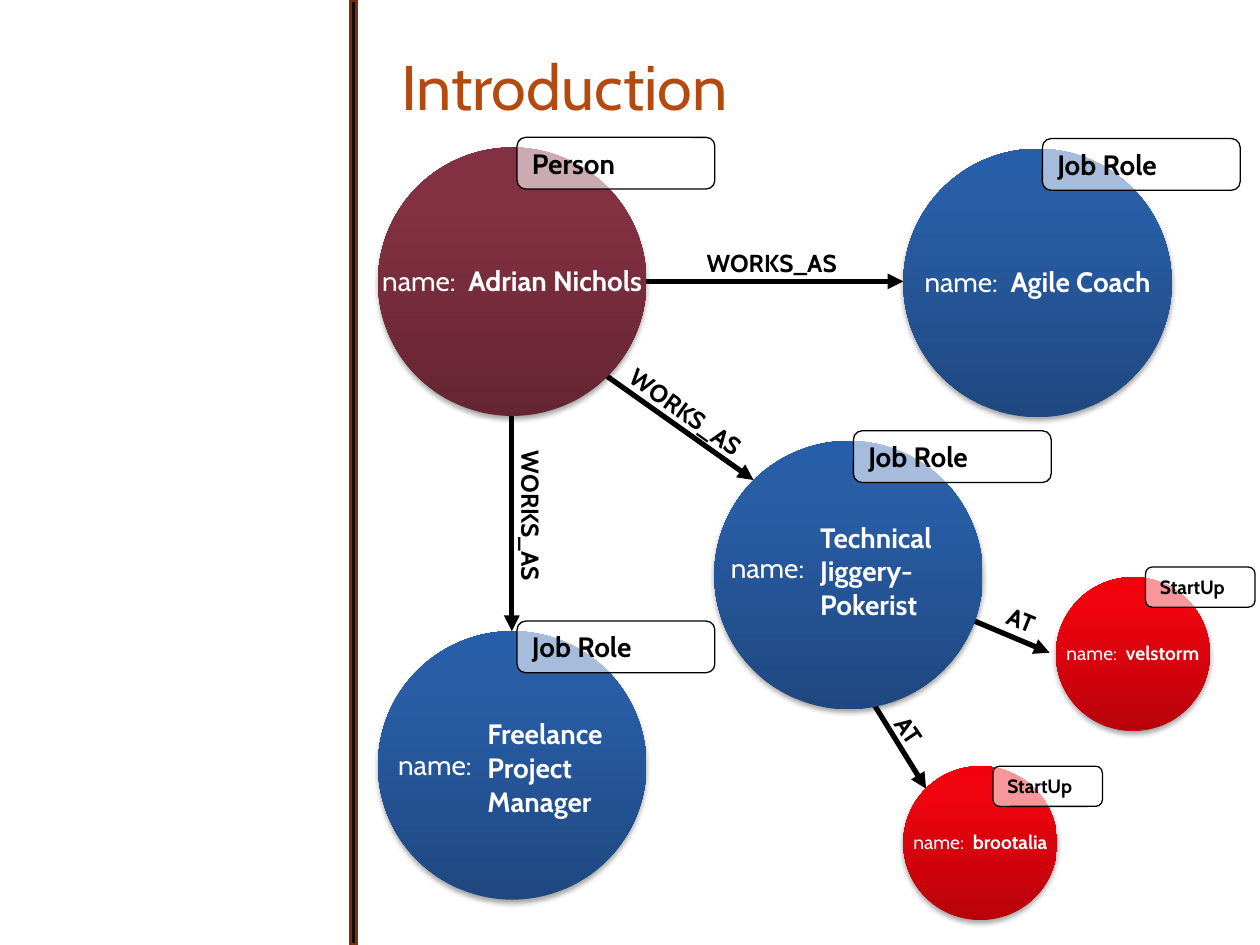
from pptx import Presentation
from pptx.dml.color import RGBColor
from pptx.enum.shapes import MSO_CONNECTOR, MSO_SHAPE
from pptx.enum.text import MSO_ANCHOR, MSO_AUTO_SIZE, PP_ALIGN
from pptx.oxml import parse_xml
from pptx.oxml.ns import nsdecls
from pptx.util import Pt

STRAIGHT = MSO_CONNECTOR.STRAIGHT
RECTANGLE = MSO_SHAPE.RECTANGLE
ELLIPSE = MSO_SHAPE.OVAL
ROUNDED = MSO_SHAPE.ROUNDED_RECTANGLE
TOP, MIDDLE = MSO_ANCHOR.TOP, MSO_ANCHOR.MIDDLE
NO_FIT, GROW = MSO_AUTO_SIZE.NONE, MSO_AUTO_SIZE.SHAPE_TO_FIT_TEXT
LEFT, CENTER = PP_ALIGN.LEFT, PP_ALIGN.CENTER

FONT = "Cabin"
COLORS = {"title": "B54A10", "bar": "0D0D0D", "bar_edge": "78310B",
          "black": "000000", "white": "FFFFFF"}
GRADIENTS = {  # from bottom to top
    "person": {0: "652533", 80: "833142", 100: "852F42"},
    "role": {0: "1F4880", 80: "295EA7", 100: "265EAA"},
    "startup": {0: "B8020B", 80: "EE030E", 100: "F2000C"},
}
LARGE = {"diameter": 153.4, "size": 16, "tag": (113, 29.5), "tag_left": 79.5,
         "name": (153.4, 26.4), "inset": 0}
SMALL = {"diameter": 88, "size": 11, "tag": (62.6, 23), "tag_left": 51.2,
         "name": (105, 20.9), "inset": 7.2}

# kind, left, top, scale, tag text, tag offset from the top
NODES = [
    ("person", 216, 84.3, LARGE, "Person", -5.8),
    ("role", 516.2, 85, LARGE, "Job Role", -5.8),
    ("role", 408.2, 252, LARGE, "Job Role", -5.8),
    ("role", 216, 360.7, LARGE, "Job Role", -5.8),
    ("startup", 603.4, 329.8, SMALL, "StartUp", -5.8),
    ("startup", 516.2, 437.8, SMALL, "StartUp", 0),
]
# node index, name
SINGLE_NAMES = [(0, "Adrian Nichols"), (1, "Agile Coach"),
                (4, "velstorm"), (5, "brootalia")]
# left, top, lines of the name
STACKED_NAMES = [
    (417.6, 311, ["Technical", "Jiggery-", "Pokerist"]),
    (227.5, 423.4, ["Freelance", "Project", "Manager"]),
]
# start, end, label, label left and top, label rotation
RELATIONS = [
    ((369.4, 160.8), (516.2, 160.8), "WORKS_AS", (396, 138.2), 0),
    ((346.3, 214.6), (430.6, 274.3), "WORKS_AS", (347, 223.2), 35.5),
    ((292.5, 237), (292.5, 360.7), "WORKS_AS", (258.5, 283), 90),
    ((540, 347.8), (599.8, 373), "AT", (538.6, 342), 22.3),
    ((491.8, 390.2), (529.2, 450.7), "AT", (474.5, 405.4), 55.8),
]


def rgb(name):
    return RGBColor.from_string(COLORS[name])


def drawing_xml(tag, content="", attributes=""):
    return parse_xml(f'<a:{tag} {nsdecls("a")} {attributes}>{content}</a:{tag}>')


def apply_format(target, values):
    for attribute, value in values.items():
        setattr(target, attribute, value)


def write_text(shape, paragraphs, size, color="white", align=LEFT,
               inset=7.2, anchor=TOP, auto_size=GROW):
    """Fill a shape; each paragraph is a list of (text, bold) runs."""
    frame = shape.text_frame
    apply_format(frame, {"word_wrap": True, "auto_size": auto_size,
                         "vertical_anchor": anchor, "margin_left": Pt(inset),
                         "margin_right": Pt(inset)})
    for index, runs in enumerate(paragraphs):
        paragraph = frame.add_paragraph() if index else frame.paragraphs[0]
        paragraph.alignment = align
        for text, bold in runs:
            run = paragraph.add_run()
            run.text = text
            apply_format(run.font, {"name": FONT, "size": Pt(size), "bold": bold})
            run.font.color.rgb = rgb(color)


def add_text(slide, left, top, width, height, paragraphs, size, **style):
    box = slide.shapes.add_textbox(Pt(left), Pt(top), Pt(width), Pt(height))
    write_text(box, paragraphs, size, **style)
    return box


def add_title(slide, text):
    title = slide.shapes.title
    apply_format(title, {"left": Pt(222), "top": Pt(12),
                         "width": Pt(510), "height": Pt(74)})
    write_text(title, [[(text, False)]], 36, "title", anchor=MIDDLE, auto_size=NO_FIT)
    run = title.text_frame.paragraphs[0].runs[0]
    outline = f'<a:solidFill><a:srgbClr val="{COLORS["bar"]}"/></a:solidFill>'
    run.font._element.insert(0, drawing_xml("ln", outline, f'w="{Pt(0.75)}"'))


def add_bar(slide):
    bar = slide.shapes.add_shape(RECTANGLE, Pt(200.2), 0, Pt(3.6), Pt(540))
    bar.shadow.inherit = False
    bar.fill.solid()
    bar.fill.fore_color.rgb = rgb("bar")
    bar.line.color.rgb = rgb("bar_edge")
    bar.line.width = Pt(2)


def add_circle(slide, kind, left, top, diameter):
    circle = slide.shapes.add_shape(ELLIPSE, Pt(left), Pt(top),
                                    Pt(diameter), Pt(diameter))
    circle.line.fill.background()
    stops = "".join(f'<a:gs pos="{position * 1000}"><a:srgbClr val="{color}"/></a:gs>'
                    for position, color in GRADIENTS[kind].items())
    gradient = drawing_xml("gradFill", f'<a:gsLst>{stops}</a:gsLst>'
                           '<a:lin ang="16200000" scaled="0"/>')
    shadow = drawing_xml(
        "effectLst",
        f'<a:outerShdw blurRad="{Pt(3.1)}" dist="{Pt(1.8)}" dir="5400000" rotWithShape="0">'
        f'<a:srgbClr val="{COLORS["black"]}"><a:alpha val="35000"/></a:srgbClr></a:outerShdw>')
    properties = circle._element.spPr
    properties.find("{*}prstGeom").addnext(gradient)
    properties.append(shadow)


def add_tag(slide, left, top, width, height, text, size):
    tag = slide.shapes.add_shape(ROUNDED, Pt(left), Pt(top), Pt(width), Pt(height))
    tag.shadow.inherit = False
    tag.fill.solid()
    tag.fill.fore_color.rgb = rgb("white")
    color = tag._element.spPr.find("{*}solidFill/{*}srgbClr")
    color.append(drawing_xml("alpha", attributes='val="59000"'))
    tag.line.color.rgb = rgb("black")
    tag.line.width = Pt(0.75)
    write_text(tag, [[(text, True)]], size, "black")


def add_node(slide, kind, left, top, scale, tag_text, tag_top):
    add_circle(slide, kind, left, top, scale["diameter"])
    add_tag(slide, left + scale["tag_left"], top + tag_top, *scale["tag"],
            tag_text, scale["size"])


def add_single_name(slide, node, name):
    _, left, top, scale, _, _ = node
    radius = scale["diameter"] / 2
    width, height = scale["name"]
    add_text(slide, left + radius - width / 2, top + radius - height / 2 - 0.7,
             width, height, [[("name:  ", False), (name, True)]], scale["size"],
             align=CENTER, inset=scale["inset"])


def add_stacked_name(slide, left, top, lines):
    add_text(slide, left, top, 57, 26.4, [[("name:", False)]], 16, inset=0)
    add_text(slide, left + 51.1, top - 17.3, 113, 65.5,
             [[(line, True)] for line in lines], 16, inset=0)


def add_arrow(slide, start, end):
    arrow = slide.shapes.add_connector(STRAIGHT, *map(Pt, start + end))
    arrow.line.color.rgb = rgb("black")
    arrow.line.width = Pt(3)
    arrow.line._get_or_add_ln().append(drawing_xml("tailEnd", attributes='type="triangle"'))
    arrow._element.spPr.append(drawing_xml("effectLst"))


def main():
    presentation = Presentation()
    presentation.slide_width, presentation.slide_height = Pt(720), Pt(540)
    slide = presentation.slides.add_slide(presentation.slide_layouts[5])
    add_bar(slide)
    add_title(slide, "Introduction")
    for start, end, *_ in RELATIONS:
        add_arrow(slide, start, end)
    for node in NODES:
        add_node(slide, *node)
    for index, name in SINGLE_NAMES:
        add_single_name(slide, NODES[index], name)
    for stacked_name in STACKED_NAMES:
        add_stacked_name(slide, *stacked_name)
    for _, _, label, position, rotation in RELATIONS:
        box = add_text(slide, *position, 90, 23.8, [[(label, True)]], 14,
                       color="black", align=CENTER)
        box.rotation = rotation
    presentation.save("out.pptx")


if __name__ == "__main__":
    main()
